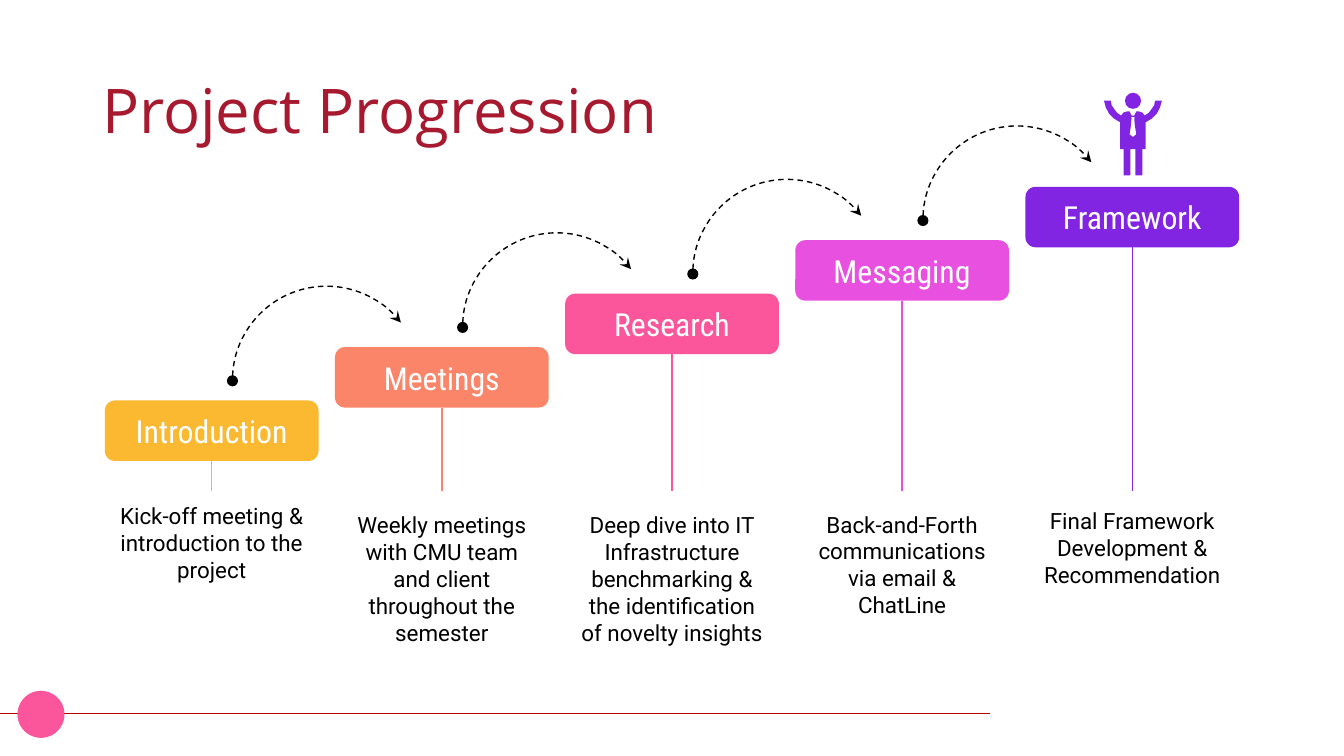
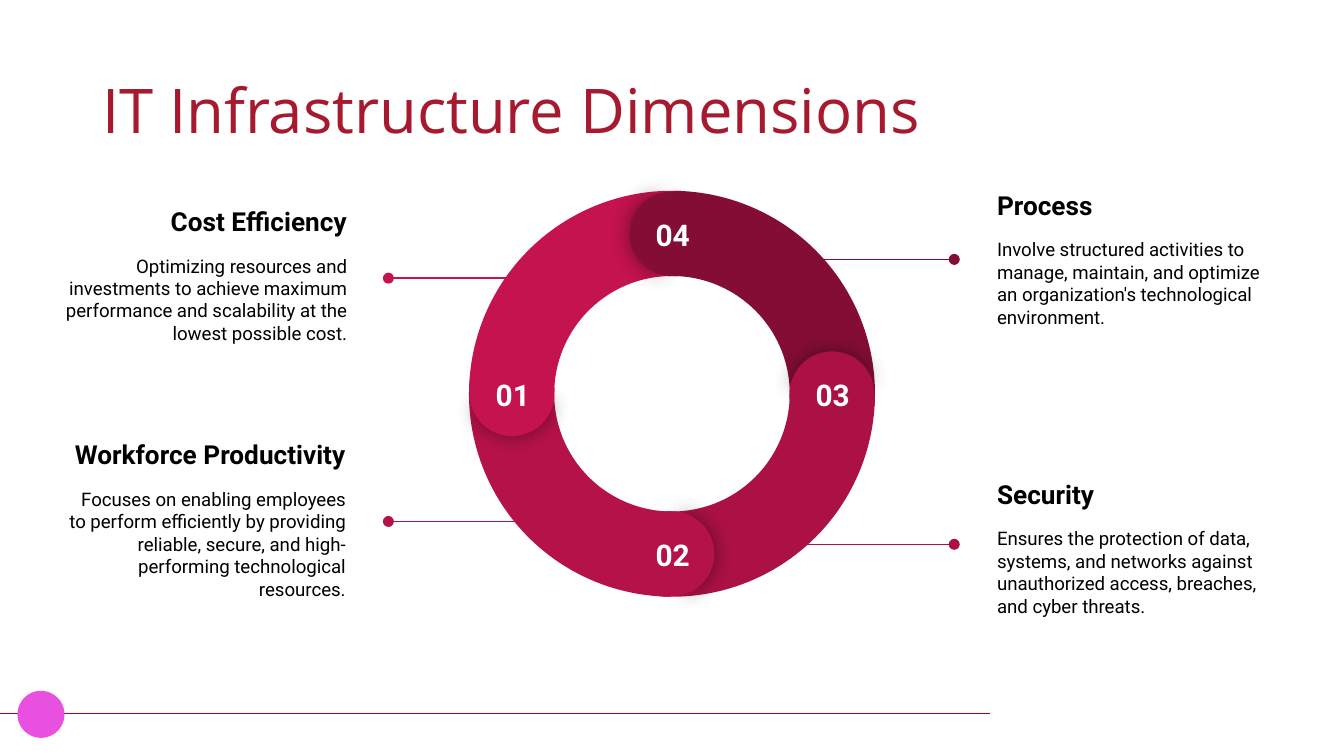
import math

import lxml.etree
import pptx
import pptx.dml.color
import pptx.enum.dml
import pptx.enum.shapes
import pptx.enum.text
import pptx.oxml.ns
import pptx.util

inch = pptx.util.Inches
rgb = pptx.dml.color.RGBColor.from_string
qn = pptx.oxml.ns.qn
SHAPE = pptx.enum.shapes.MSO_SHAPE
STRAIGHT = pptx.enum.shapes.MSO_CONNECTOR.STRAIGHT
ALIGN = pptx.enum.text.PP_ALIGN
ANCHOR = pptx.enum.text.MSO_ANCHOR

TITLE_RED, RULE_RED = "A6192E", "BB0000"
BLACK, WHITE = "000000", "FFFFFF"
YELLOW, CORAL, PINK, MAGENTA, PURPLE = "FBB831", "FB8569", "FB569C", "E850E0", "8225E2"
RING_COLORS = {"01": "C4134F", "02": "B6124A", "03": "AC1146", "04": "840D35"}

TITLE = {"name": "Open Sans", "size": pptx.util.Pt(33)}
STEP = {"name": "Roboto Condensed", "size": pptx.util.Pt(17)}
CAPTION = {"name": "Roboto", "size": pptx.util.Pt(12)}
NUMBER = {"name": "Roboto", "size": pptx.util.Pt(16), "bold": True}
HEADING = {"name": "Roboto", "size": pptx.util.Pt(14), "bold": True}
DETAIL = {"name": "Roboto", "size": pptx.util.Pt(10), "bold": False}


def style_shape(shape, fill=None, line=None, ends=()):
    """Set fill, line and (tag, type) line ends; return the empty effect list."""
    if fill:
        shape.fill.solid()
        shape.fill.fore_color.rgb = rgb(fill)
    if line:
        shape.line.color.rgb = rgb(line)
        shape.line.width = pptx.util.Pt(0.75)
    else:
        shape.line.fill.background()
    for tag, kind in ends:
        outline = shape.element.spPr.find(qn("a:ln"))
        lxml.etree.SubElement(outline, qn(tag)).set("type", kind)
    return lxml.etree.SubElement(shape.element.spPr, qn("a:effectLst"))


def write_text(shape, lines, color, align, anchor=ANCHOR.MIDDLE, margins=(0.1, 0.1)):
    """Write (text, font values) lines as paragraphs; margins are side and top."""
    frame = shape.text_frame
    side, top = map(inch, margins)
    frame_values = {
        "word_wrap": True, "auto_size": pptx.enum.text.MSO_AUTO_SIZE.NONE,
        "vertical_anchor": anchor, "margin_left": side, "margin_right": side,
        "margin_top": top, "margin_bottom": top,
    }
    for name, value in frame_values.items():
        setattr(frame, name, value)
    for index, (text, font_values) in enumerate(lines):
        paragraph = frame.add_paragraph() if index else frame.paragraphs[0]
        paragraph.text = text
        paragraph.alignment = align
        for name, value in font_values.items():
            setattr(paragraph.font, name, value)
        paragraph.font.color.rgb = rgb(color)


presentation = pptx.Presentation()
presentation.slide_width = inch(10)
presentation.slide_height = presentation.slide_width * 9 // 16

# Shared layout: title position and footer rule
layout = presentation.slide_layouts[5]
for placeholder in list(layout.placeholders):
    if placeholder.placeholder_format.idx:
        layout.shapes.element.remove(placeholder.element)
title_area = layout.placeholders[0]
for name, value in {"left": 0.69, "top": 0.3, "width": 8.62, "height": 1.09}.items():
    setattr(title_area, name, inch(value))

slides = []
for title, dot_color in (("Project Progression", PINK),
                         ("IT Infrastructure Dimensions", MAGENTA)):
    slide = presentation.slides.add_slide(layout)
    write_text(slide.shapes.title, [(title, TITLE)], TITLE_RED, ALIGN.LEFT,
               margins=(0.07, 0.04))
    slide.shapes.title.text_frame.paragraphs[0].line_spacing = 0.9
    if not slides:
        rule = slide.shapes.add_connector(STRAIGHT, *map(inch, (7.37, 5.31, 0, 5.31)))
        style_shape(rule, line=RULE_RED)
        layout.shapes.element.append(rule.element)
    slides.append(slide)
    dot = slide.shapes.add_shape(SHAPE.ROUNDED_RECTANGLE,
                                 *map(inch, (0.13, 5.14, 0.35, 0.35)))
    dot.adjustments[0] = 0.5
    style_shape(dot, dot_color)

# Slide 1: rising steps
shapes = slides[0].shapes
steps = [
    ("Introduction", YELLOW, 0.61, "Kick-off meeting & introduction to the project"),
    ("Meetings", CORAL, 1.15,
     "Weekly meetings with CMU team and client throughout the semester"),
    ("Research", PINK, 1.15,
     "Deep dive into IT Infrastructure benchmarking & the identification of novelty insights"),
    ("Messaging", MAGENTA, 0.94, "Back-and-Forth communications via email & ChatLine"),
    ("Framework", PURPLE, 0.69, "Final Framework Development & Recommendation"),
]
step_width, step_height = 1.59, 0.45
column_pitch = (7.63 - 0.78) / (len(steps) - 1)
row_rise = (2.98 - 1.39) / (len(steps) - 1)
for index, (name, color, caption_height, caption_text) in enumerate(steps):
    left = 0.78 + index * column_pitch
    top = 2.98 - index * row_rise
    middle = left + step_width / 2
    if index < len(steps) - 1:
        arc = shapes.add_shape(SHAPE.ARC, *map(inch, (left + 0.95, top - 0.85, 1.4, 1.4)))
        arc.adjustments[0], arc.adjustments[1] = 107.8, 193.31
        arc.fill.background()
        arc.line.dash_style = pptx.enum.dml.MSO_LINE.DASH
        style_shape(arc, line=BLACK, ends=[("a:headEnd", "oval"), ("a:tailEnd", "stealth")])
    box = shapes.add_shape(SHAPE.ROUNDED_RECTANGLE,
                           *map(inch, (left, top, step_width, step_height)))
    style_shape(box, color)
    write_text(box, [(name, STEP)], WHITE, ALIGN.CENTER)
    stem = shapes.add_connector(STRAIGHT, *map(inch, (middle, top + step_height, middle, 3.65)))
    stem.begin_connect(box, 2)
    style_shape(stem, line=color)
    caption = shapes.add_textbox(*map(inch, (left, 3.73, step_width, caption_height)))
    write_text(caption, [(caption_text, CAPTION)], BLACK, ALIGN.CENTER)

# Cheering figure: right halves in thousandths of an inch, mirrored about its axis
figure_axis, figure_top = 8.43, 0.69
head = shapes.add_shape(SHAPE.OVAL, *map(inch, (figure_axis - 0.06, figure_top, 0.12, 0.12)))
style_shape(head, PURPLE)
body_half = [(10, 170), (25, 140), (45, 140), (70, 148), (88, 170), (118, 150), (136, 126),
             (158, 94), (165, 60), (215, 60), (202, 110), (178, 155), (142, 192), (95, 220),
             (95, 420), (70, 420), (70, 615), (18, 615), (18, 420)]
tie_half = [(14, 180), (10, 190), (14, 240), (25, 310), (0, 330)]
body, tie = (half + [(-x, y) for x, y in reversed(half)] for half in (body_half, tie_half))
builder = shapes.build_freeform(*body[0], scale=inch(1) / 1000)
builder.add_line_segments(body[1:])
builder.move_to(*tie[0])
builder.add_line_segments(tie[1:])
style_shape(builder.convert_to_shape(inch(figure_axis), inch(figure_top)), PURPLE)

# Slide 2: ring of four overlapping segments
shapes = slides[1].shapes
center_x, center_y = 5, 2.93
ring_size, cap_size, cap_orbit = 3.02, 0.63, 1.19
segments = [(number, RING_COLORS[number], 90 * index)
            for index, number in enumerate(("02", "01", "04", "03"), start=1)]
for number, color, angle in segments:
    segment = shapes.add_shape(SHAPE.BLOCK_ARC, *map(inch, (
        center_x - ring_size / 2, center_y - ring_size / 2, ring_size, ring_size)))
    for index, value in enumerate((126.2, 182, 0.21)):
        segment.adjustments[index] = value
    segment.rotation = (angle + 150) % 360
    style_shape(segment, color)

for number, color, angle in segments:
    cap_x = center_x + cap_orbit * math.cos(math.radians(angle))
    cap_y = center_y + cap_orbit * math.sin(math.radians(angle))
    for turn, start, end, shadowed in ((90.7, 61.9, 149.96, True), (270, 40.28, 171.84, False)):
        cap = shapes.add_shape(SHAPE.PIE, *map(inch, (
            cap_x - cap_size / 2, cap_y - cap_size / 2, cap_size, cap_size)))
        cap.adjustments[0], cap.adjustments[1] = start, end
        cap.rotation = (angle + turn) % 360
        effects = style_shape(cap, color)
        if shadowed:
            shadow = lxml.etree.SubElement(effects, qn("a:outerShdw"),
                                           blurRad=str(pptx.util.Pt(11.2)), rotWithShape="0")
            shade = lxml.etree.SubElement(shadow, qn("a:srgbClr"), val=BLACK)
            lxml.etree.SubElement(shade, qn("a:alpha"), val="43000")
    label = shapes.add_textbox(*map(inch, (cap_x - 0.27, cap_y - 0.23, 0.55, 0.29)))
    write_text(label, [(number, NUMBER)], WHITE, ALIGN.CENTER, ANCHOR.TOP)

# Each dimension: text left, top, width and alignment, then pointer start, end and height
dimensions = [
    ("01", "Cost Efficiency",
     "Optimizing resources and investments to achieve maximum performance and scalability "
     "at the lowest possible cost.",
     (0.16, 1.34, 2.52), ALIGN.RIGHT, (4.03, 2.89, 2.07)),
    ("02", "Workforce Productivity",
     "Focuses on enabling employees to perform efficiently by providing reliable, secure, "
     "and high-performing technological resources.",
     (0.35, 3.16, 2.32), ALIGN.RIGHT, (4.32, 2.89, 3.88)),
    ("04", "Process",
     "Involve structured activities to manage, maintain, and optimize an organization's "
     "technological environment.",
     (7.32, 1.22, 2.32), ALIGN.LEFT, (5.7, 7.1, 1.93)),
    ("03", "Security",
     "Ensures the protection of data, systems, and networks against unauthorized access, "
     "breaches, and cyber threats.",
     (7.32, 3.37, 2.32), ALIGN.LEFT, (5.7, 7.1, 4.05)),
]
for number, heading, detail, area, align, (start, end, level) in dimensions:
    text_box = shapes.add_textbox(*map(inch, (*area, 1.41)))
    write_text(text_box, [(heading, HEADING), (detail, DETAIL)], BLACK, align)
    detail_paragraph = text_box.text_frame.paragraphs[1]
    detail_paragraph.space_before = pptx.util.Pt(9.4)
    detail_paragraph.space_after = pptx.util.Pt(16)
    pointer = shapes.add_connector(STRAIGHT, *map(inch, (start, level, end, level)))
    style_shape(pointer, line=RING_COLORS[number], ends=[("a:tailEnd", "oval")])

presentation.save("out.pptx")
